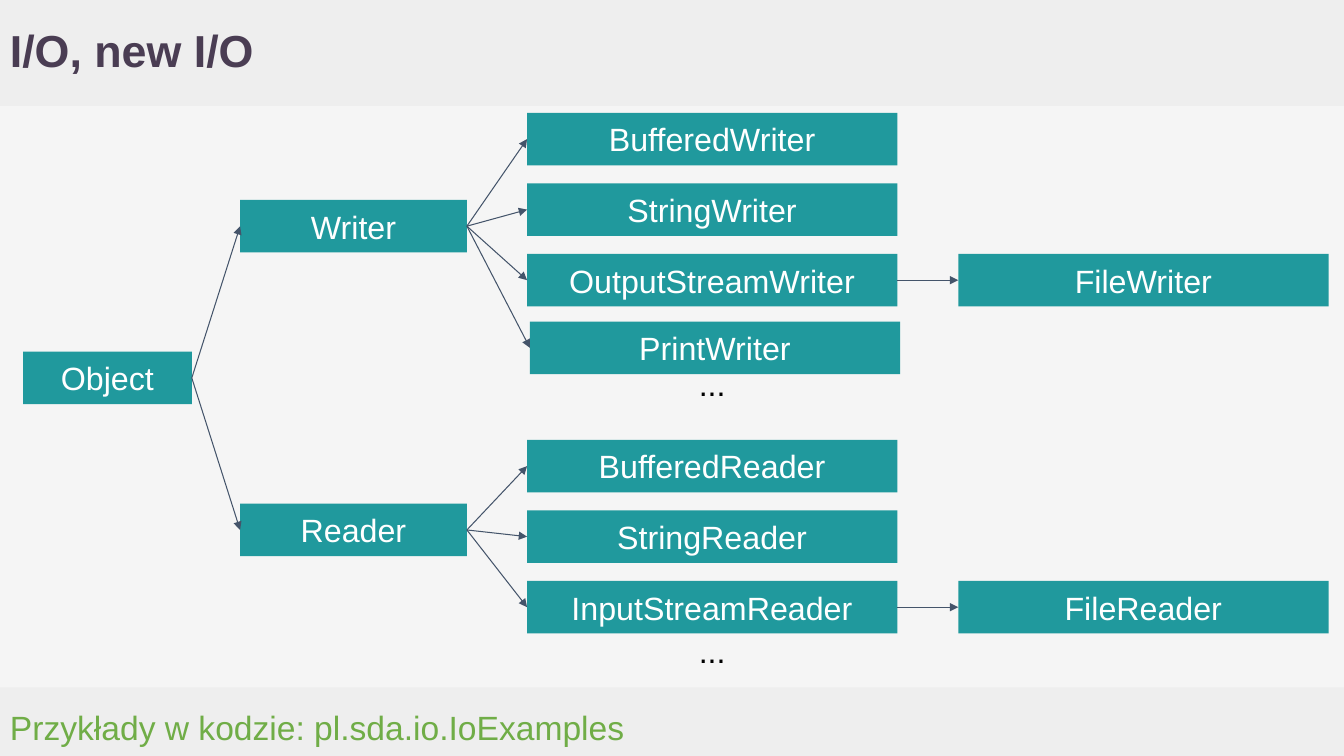
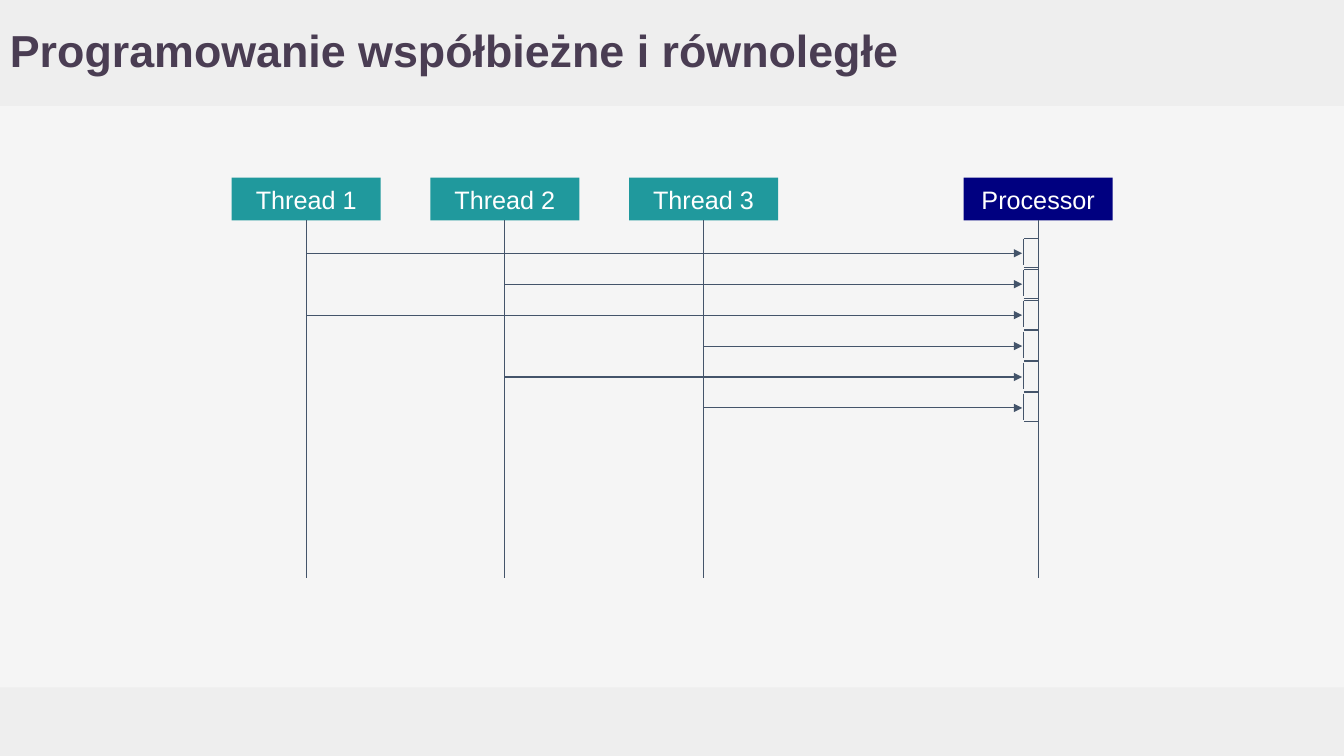
from typing import NamedTuple, Optional

from lxml import etree
from pptx import Presentation
from pptx import util as u
from pptx.dml.color import RGBColor
from pptx.enum import shapes, text
from pptx.oxml import ns
from pptx.shapes.autoshape import Shape
from pptx.shapes.connector import Connector
from pptx.slide import Slide

COLORS = {
    "background": "F5F5F5",
    "band": "EEEEEE",
    "title": "4A3D53",
    "teal": "20999D",
    "navy": "000080",
    "line": "44546A",
    "white": "FFFFFF",
    "black": "000000",
    "green": "70AD47",
}
FONT = "Arial"
SLIDE_W, SLIDE_H = 960, 540
TITLE_H, FOOTER_TOP = 75.6, 491
BOTTOM, LEFT, RIGHT = 2, 1, 3


class Box(NamedTuple):
    left: float
    top: float
    width: float
    height: float


class ClassNode(NamedTuple):
    label: str
    box: Box
    parent: Optional[str] = None


class Lane(NamedTuple):
    label: str
    left: float
    color: str = "teal"


def color(name: str) -> RGBColor:
    return RGBColor.from_string(COLORS[name])


def put_text(shape: Shape, content: str, *, size: float, fill: str,
             bold: bool = False, align: text.PP_ALIGN = text.PP_ALIGN.LEFT,
             anchor: text.MSO_ANCHOR = text.MSO_ANCHOR.MIDDLE,
             line_spacing: Optional[float] = None) -> None:
    frame = shape.text_frame
    frame.word_wrap = True
    frame.vertical_anchor = anchor
    frame.margin_left = frame.margin_right = u.Pt(7.2)
    frame.margin_top = frame.margin_bottom = u.Pt(7.2)
    paragraph = frame.paragraphs[0]
    paragraph.alignment = align
    paragraph.line_spacing = line_spacing
    run = paragraph.add_run()
    run.text = content
    run.font.name, run.font.size, run.font.bold = FONT, u.Pt(size), bold
    run.font.color.rgb = color(fill)


def add_rectangle(slide: Slide, box: Box, fill: str) -> Shape:
    rectangle = slide.shapes.add_shape(
        shapes.MSO_SHAPE.RECTANGLE, *(u.Pt(length) for length in box))
    rectangle.shadow.inherit = False
    rectangle.fill.solid()
    rectangle.fill.fore_color.rgb = color(fill)
    rectangle.line.fill.background()
    return rectangle


def add_label_box(slide: Slide, box: Box, label: str, size: float,
                  fill: str = "teal") -> Shape:
    rectangle = add_rectangle(slide, box, fill)
    put_text(rectangle, label, size=size, fill="white",
             align=text.PP_ALIGN.CENTER)
    return rectangle


def add_textbox(slide: Slide, box: Box, content: str, **text_format) -> None:
    textbox = slide.shapes.add_textbox(*(u.Pt(length) for length in box))
    put_text(textbox, content, **text_format)


def add_line(slide: Slide, x1: float = 0, y1: float = 0, x2: float = 0,
             y2: float = 0, arrow: bool = False) -> Connector:
    line = slide.shapes.add_connector(
        shapes.MSO_CONNECTOR.STRAIGHT, u.Pt(x1), u.Pt(y1), u.Pt(x2), u.Pt(y2))
    line.line.width = u.Pt(0.75)
    line.line.color.rgb = color("line")
    if arrow:
        etree.SubElement(line.line._get_or_add_ln(), ns.qn("a:tailEnd"),
                         type="triangle")
    etree.SubElement(line._element.spPr, ns.qn("a:effectLst"))
    return line


def add_base_slide(prs: Presentation, title: str) -> Slide:
    """Add a slide with the shared bands and title."""
    slide = prs.slides.add_slide(prs.slide_layouts[6])
    add_rectangle(slide, Box(0, FOOTER_TOP, SLIDE_W, SLIDE_H - FOOTER_TOP), "band")
    add_rectangle(slide, Box(0, 0, SLIDE_W, TITLE_H), "band")
    add_textbox(slide, Box(0, 0, 858, TITLE_H), title, size=32, fill="title",
                bold=True, line_spacing=0.9)
    return slide


def class_nodes() -> list[ClassNode]:
    height, pitch = 37.5, 50.4
    leaf_x, leaf_w, file_x = 376.5, 264.5, 684.5
    nodes = [ClassNode("Object", Box(16.5, 251.2, 120.5, height))]
    families = (
        ("Writer", 142.8, 80.6, "OutputStream"),
        ("Reader", 359.8, 314.2, "InputStream"),
    )
    for family, family_top, leaf_top, stream in families:
        nodes.append(ClassNode(
            family, Box(171.5, family_top, 162, height), "Object"))
        for row, prefix in enumerate(("Buffered", "String", stream)):
            top = leaf_top + row * pitch
            nodes.append(ClassNode(
                prefix + family, Box(leaf_x, top, leaf_w, height), family))
        nodes.append(ClassNode(
            "File" + family, Box(file_x, top, leaf_w, height), stream + family))
    nodes.append(ClassNode(
        "PrintWriter", Box(378.5, 229.7, leaf_w, height), "Writer"))
    return nodes


def build_io_slide(prs: Presentation) -> None:
    slide = add_base_slide(prs, "I/O, new I/O")
    for ellipsis_top in (262, 452.2):
        add_textbox(slide, Box(376.5, ellipsis_top, 264.5, 24.5), "...",
                    size=23, fill="black", align=text.PP_ALIGN.CENTER)
    nodes = class_nodes()
    boxes = {node.label: add_label_box(slide, node.box, node.label, 23)
             for node in nodes}
    for node in nodes:
        if node.parent:
            arrow = add_line(slide, arrow=True)
            arrow.begin_connect(boxes[node.parent], RIGHT)
            arrow.end_connect(boxes[node.label], LEFT)
    add_textbox(slide, Box(0, 495.4, 785, 48),
                "Przykłady w kodzie: pl.sda.io.IoExamples",
                size=24, fill="green", anchor=text.MSO_ANCHOR.MIDDLE)


def add_time_slot(slide: Slide, left: float, right: float, middle: float) -> None:
    """Draw the bracket that marks processor time given to a thread."""
    top, bottom = middle - 10.8, middle + 10
    add_line(slide, right, top, left, top)
    add_line(slide, left, top + 0.5, left, bottom - 1.3)
    add_line(slide, left, bottom, right, bottom)


def build_threads_slide(prs: Presentation) -> None:
    slide = add_base_slide(prs, "Programowanie współbieżne i równoległe")
    head_top, head_w, head_h, lifeline_end = 126.9, 106.5, 30.6, 413
    threads = [Lane(f"Thread {i + 1}", 165.5 + i * 141.9) for i in range(3)]
    processor = Lane("Processor", 688.3, "navy")
    centers = {}
    for lane in (*threads, processor):
        head = add_label_box(slide, Box(lane.left, head_top, head_w, head_h),
                             lane.label, 18, lane.color)
        center = centers[lane.label] = lane.left + head_w / 2
        lifeline = add_line(slide, center, head_top + head_h, center, lifeline_end)
        lifeline.begin_connect(head, BOTTOM)

    processor_x = centers[processor.label]
    slot_left = processor_x - 10.2
    for turn, thread_number in enumerate((1, 2, 1, 3, 2, 3)):
        y = 180.9 + turn * 22.1
        add_line(slide, centers[f"Thread {thread_number}"], y, slot_left - 1.2, y,
                 arrow=True)
        add_time_slot(slide, slot_left, processor_x, y)


def main() -> None:
    prs = Presentation()
    prs.slide_width, prs.slide_height = u.Pt(SLIDE_W), u.Pt(SLIDE_H)
    background = prs.slide_master.background.fill
    background.solid()
    background.fore_color.rgb = color("background")
    build_io_slide(prs)
    build_threads_slide(prs)
    prs.save("out.pptx")


if __name__ == "__main__":
    main()
